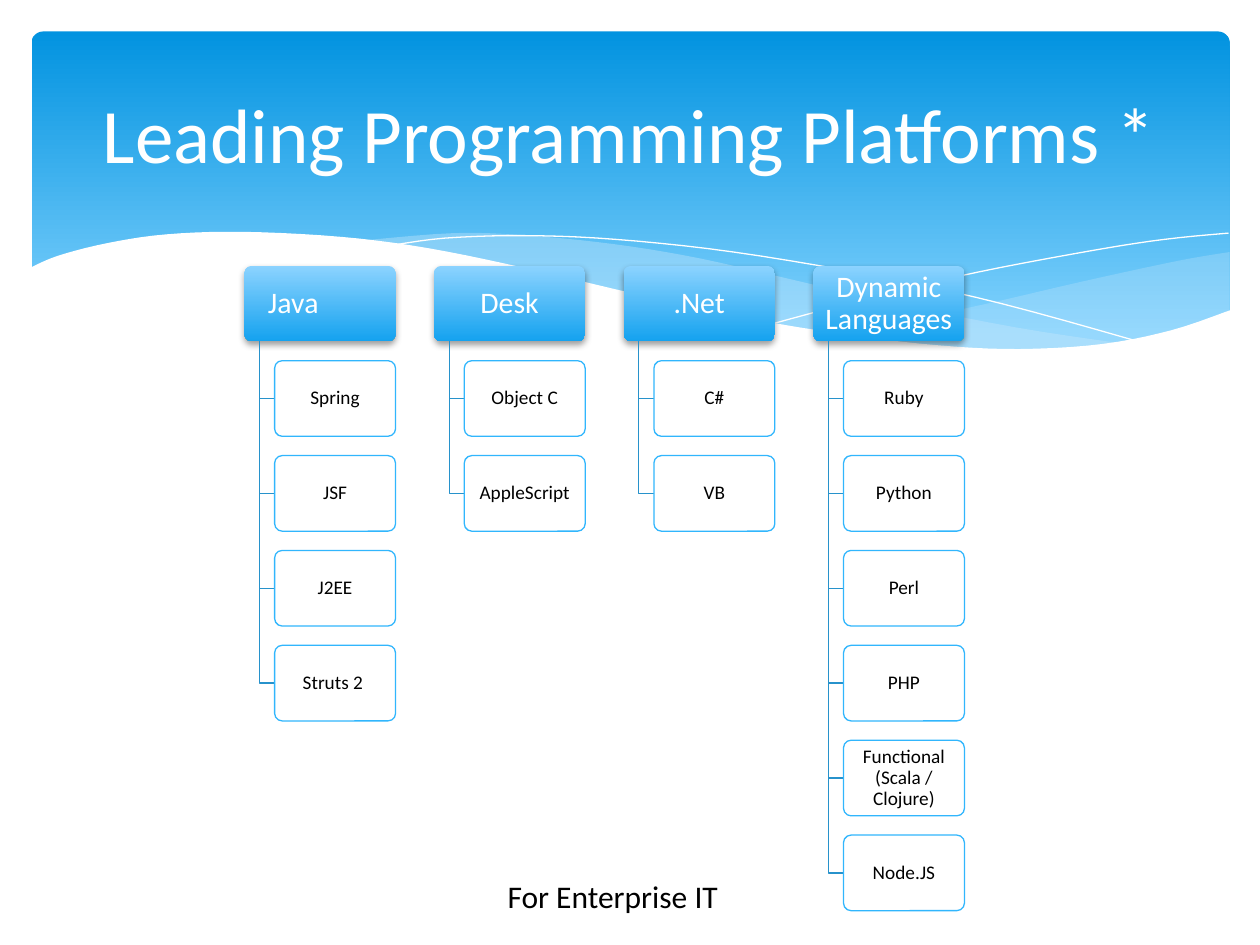
"""Builds a slide charting leading programming platforms as four columns under a wavy banner."""
from lxml import etree
from pptx import Presentation, util as u
from pptx.dml import color
from pptx.enum import shapes, text
from pptx.oxml import ns

FONT = "Calibri"
COLORS = {
    "white": "FFFFFF", "black": "000000", "banner_top": "0293E0", "banner_end": "83D3FE",
    "wave": "C6E7FC", "header_top": "8CD3FF", "header_end": "14A2EF",
    "border": "31B6FD", "branch": "2792CB",
}
PLATFORMS = [
    ("Java\t", ["Spring", "JSF", "J2EE", "Struts 2 "]),
    ("Desk", ["Object C", "AppleScript"]),
    (".Net", ["C#", "VB"]),
    ("Dynamic Languages",
     ["Ruby", "Python", "Perl", "PHP", "Functional (Scala / Clojure)", "Node.JS"]),
]
LEFT, TOP, COLUMN_STEP, ROW_STEP = 1.94, 2.11, 1.505, 0.753
HEADER_WIDTH, BOX_HEIGHT, SPINE, INDENT = 1.2, 0.6, 0.12, 0.24

RIGHT_WAVE_TOP = [(9.76, 2), (9.35, 2.07), (8.61, 2.23), (7.79, 2.42), (7.06, 2.57), (6.61, 2.65)]
RIGHT_WAVE_BOTTOM = [(6.61, 2.65), (7.05, 2.71), (7.57, 2.76), (8.03, 2.78), (8.54, 2.76),
                     (8.97, 2.7), (9.35, 2.62), (9.76, 2.47)]
MIDDLE_WAVE_TOP = [(8.93, 2.73), (8.07, 2.6), (7.06, 2.4), (6.29, 2.22), (5.55, 2.05),
                   (4.89, 1.94), (4.2, 1.87), (3.61, 1.85), (2.86, 1.91)]
MIDDLE_WAVE_BOTTOM = [(2.86, 1.91), (3.62, 2.03), (4.49, 2.22), (5.3, 2.4), (6.18, 2.58),
                      (6.95, 2.7), (7.61, 2.77), (8.18, 2.78), (8.93, 2.73)]
FALLING_LINE = [(3.09, 1.95), (3.53, 1.89), (4.16, 1.87), (4.89, 1.9), (5.82, 2),
                (6.95, 2.19), (7.95, 2.41), (9.07, 2.72)]
RISING_LINE = [(6.13, 2.57), (6.95, 2.35), (7.76, 2.16), (8.66, 1.99), (9.24, 1.9), (9.75, 1.85)]
WHITE_WAVE = [(9.77, 2.46), (9.3, 2.62), (8.75, 2.73), (8.09, 2.77), (7.44, 2.74), (6.68, 2.65),
              (5.79, 2.5), (5.03, 2.33), (4.18, 2.13), (3.4, 1.97), (2.71, 1.88), (1.93, 1.84),
              (1.32, 1.86), (0.85, 1.93), (0.46, 2.03), (0.23, 2.13)]


def rgb(name):
    """Return the named colour."""
    return color.RGBColor.from_string(COLORS[name])


def smooth(knots, steps=5):
    """Return the points of a Catmull-Rom curve through the knots."""
    padded = [knots[0], *knots, knots[-1]]
    points = [knots[0]]
    for a, b, c, d in zip(padded, padded[1:], padded[2:], padded[3:]):
        for step in range(1, steps + 1):
            t = step / steps
            points.append(tuple(
                0.5 * (2 * q + (r - p) * t + (2 * p - 5 * q + 4 * r - s) * t ** 2
                       + (3 * q - p - 3 * r + s) * t ** 3)
                for p, q, r, s in zip(a, b, c, d)))
    return points


def set_alpha(shape, percent):
    """Make the solid fill of a shape partly transparent."""
    value = shape._element.spPr.find(f"{ns.qn('a:solidFill')}/{ns.qn('a:srgbClr')}")
    etree.SubElement(value, ns.qn("a:alpha"), val=str(percent * 1000))


def style(shape, fill=None, alpha=100, line=None, width=0.75):
    """Give a shape a plain fill and outline without shadow."""
    shape.shadow.inherit = False
    if fill:
        shape.fill.solid()
        shape.fill.fore_color.rgb = rgb(fill)
        if alpha < 100:
            set_alpha(shape, alpha)
    else:
        shape.fill.background()
    if line:
        shape.line.color.rgb = rgb(line)
        shape.line.width = u.Pt(width)
    else:
        shape.line.fill.background()


def set_gradient(shape, start, end, end_position=1.0):
    """Fill a shape with a gradient running from top to bottom."""
    shape.fill.gradient()
    shape.fill.gradient_angle = 270
    for stop, name, position in zip(shape.fill.gradient_stops, (start, end), (0, end_position)):
        stop.color.rgb = rgb(name)
        stop.position = position


def add_drop_shadow(shape):
    """Add a soft shadow just below a shape."""
    effects = shape._element.spPr.find(ns.qn("a:effectLst"))
    shadow = etree.SubElement(effects, ns.qn("a:outerShdw"), blurRad=str(u.Pt(4)),
                              dist=str(u.Pt(2)), dir="5400000", rotWithShape="0")
    tint = etree.SubElement(shadow, ns.qn("a:srgbClr"), val=COLORS["black"])
    etree.SubElement(tint, ns.qn("a:alpha"), val="38000")


def add_outline(page, points, close=False, **look):
    """Draw a freeform through points given in inches."""
    start, *others = [(u.Inches(x), u.Inches(y)) for x, y in points]
    builder = page.shapes.build_freeform(*start)
    builder.add_line_segments(others, close=close)
    style(builder.convert_to_shape(), **look)


def add_round_box(page, left, top, width, height, corner, **look):
    """Draw a rounded rectangle and return it."""
    box = page.shapes.add_shape(shapes.MSO_SHAPE.ROUNDED_RECTANGLE, u.Inches(left),
                                u.Inches(top), u.Inches(width), u.Inches(height))
    box.adjustments[0] = corner
    style(box, **look)
    return box


def write(box, words, size, name, align=text.PP_ALIGN.CENTER):
    """Write one run of text into a box and return its paragraph."""
    frame = box.text_frame
    frame.word_wrap = True
    frame.vertical_anchor = text.MSO_ANCHOR.MIDDLE
    para = frame.paragraphs[0]
    para.alignment = align
    span = para.add_run()
    span.text = words
    span.font.size = u.Pt(size)
    span.font.name = FONT
    span.font.color.rgb = rgb(name)
    return para


def write_label(box, words, size, name, side):
    """Write a tightly set label whose tab width follows its text size."""
    para = write(box, words, size, name)
    para.line_spacing = 0.9
    para._p.get_or_add_pPr().set("defTabSz", str(u.Pt(size * 3.5)))
    frame = box.text_frame
    frame.margin_left = frame.margin_right = u.Inches(side)
    frame.margin_top = frame.margin_bottom = u.Inches(0.03)


def add_text(page, left, top, width, height, words, size, name, **layout):
    """Add a text box and return its frame."""
    box = page.shapes.add_textbox(u.Inches(left), u.Inches(top), u.Inches(width), u.Inches(height))
    write(box, words, size, name, **layout)
    return box.text_frame


def add_banner(page):
    """Draw the blue banner with its waves."""
    banner = add_round_box(page, 0.25, 0.25, 9.51, 2.7, 0.034)
    set_gradient(banner, "banner_top", "banner_end", 0.9)
    for top, bottom, alpha in ((RIGHT_WAVE_TOP, RIGHT_WAVE_BOTTOM, 29),
                               (MIDDLE_WAVE_TOP, MIDDLE_WAVE_BOTTOM, 40)):
        add_outline(page, smooth(top) + smooth(bottom)[1:], close=True, fill="wave", alpha=alpha)
    for knots in (FALLING_LINE, RISING_LINE):
        add_outline(page, smooth(knots), line="white", width=0)
    add_outline(page, smooth(WHITE_WAVE) + [(0.23, 3.29), (9.77, 3.29)], close=True, fill="white")


def add_platform(page, left, title, members):
    """Draw a platform header with its members hanging below."""
    header = add_round_box(page, left, TOP, HEADER_WIDTH, BOX_HEIGHT, 0.1)
    set_gradient(header, "header_top", "header_end")
    add_drop_shadow(header)
    write_label(header, title, 17, "white", 0.05)
    spine, indent = left + SPINE, left + INDENT
    for row, member in enumerate(members, start=1):
        top = TOP + row * ROW_STEP
        middle = top + BOX_HEIGHT / 2
        add_outline(page, [(spine, TOP + BOX_HEIGHT), (spine, middle), (indent, middle)],
                    line="branch")
        box = add_round_box(page, indent, top, HEADER_WIDTH - INDENT, BOX_HEIGHT, 0.1,
                            fill="white", alpha=90, line="border")
        write_label(box, member, 11, "black", 0.03)


def main():
    """Build and save the deck."""
    deck = Presentation()
    deck.slide_width, deck.slide_height = u.Inches(10), u.Inches(7.5)
    page = deck.slides.add_slide(deck.slide_layouts[6])
    add_banner(page)
    add_text(page, 0.5, 0.37, 9, 1.37, "Leading Programming Platforms *", 44, "white")
    for column, (title, members) in enumerate(PLATFORMS):
        add_platform(page, LEFT + column * COLUMN_STEP, title, members)
    caption = add_text(page, 3.93, 6.91, 1.96, 0.4, "For Enterprise IT", 18, "black",
                       align=text.PP_ALIGN.LEFT)
    caption.word_wrap = False
    caption.auto_size = text.MSO_AUTO_SIZE.SHAPE_TO_FIT_TEXT
    deck.save("out.pptx")


if __name__ == "__main__":
    main()
